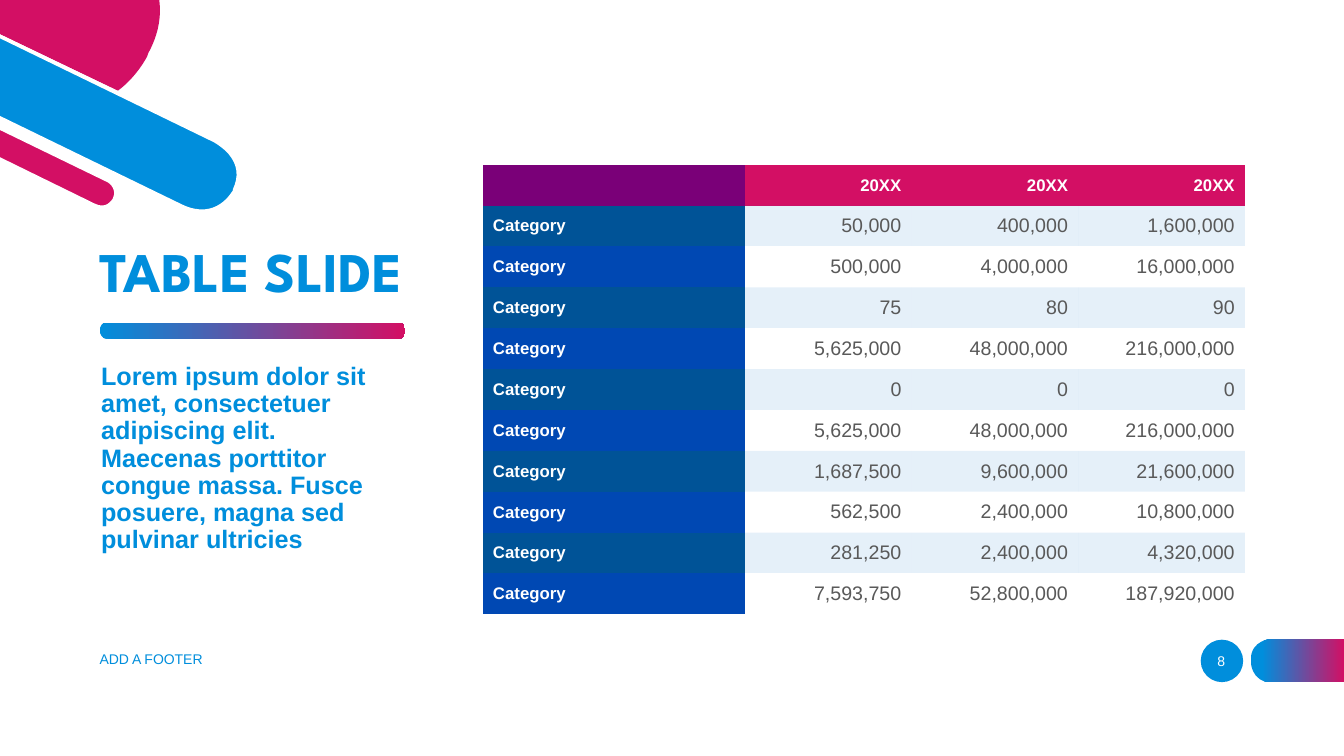
from lxml.etree import SubElement
from pptx import Presentation
from pptx.dml.color import RGBColor
from pptx.enum.shapes import MSO_SHAPE
from pptx.enum.text import MSO_ANCHOR, PP_ALIGN
from pptx.oxml.ns import qn
from pptx.util import Cm, Pt

COLORS = {
    "blue": "008EDC", "pink": "D30F64", "white": "FFFFFF", "purple": "7A0078",
    "teal": "005397", "royal": "0048B3", "band": "006FC9", "gray": "595959",
}
GRID_UNIT = Cm(2.54) // 100

# Outlines in grid units: a pair is a line to a point,
# six numbers are a Bézier curve (two controls and the end point).
PAGE_TAB = [(1262, 677), (1334, 677), (1334, 634), (1262, 634),
            (1262, 634, 1241, 634, 1241, 655), (1241, 656),
            (1241, 656, 1241, 677, 1262, 677)]
TITLE_BAR = [(396, 336), (105, 336), (102, 336, 99, 332, 99, 328),
             (99, 323, 102, 320, 105, 320), (396, 320),
             (399, 320, 402, 323, 402, 328), (402, 332, 400, 336, 396, 336)]
CORNER_OUTLINES = [
    ("white", [(1, 81), (28, 94), (60, 110, 89, 108, 115, 89),
               (134, 74, 144, 55, 144, 55), (146, 52),
               (155, 34, 158, 16, 156, 0), (160, 0),
               (162, 17, 159, 35, 149, 54), (148, 57),
               (147, 58, 137, 77, 117, 92), (106, 101, 90, 109, 69, 109),
               (56, 109, 42, 106, 26, 98), (1, 86)]),
    ("blue", [(212, 139), (212, 139, 249, 157, 233, 189), (232, 190),
              (232, 190, 216, 222, 180, 204), (0, 117), (0, 36)]),
    ("pink", [(146, 56), (146, 56, 136, 76, 117, 90), (0, 34), (0, 0),
              (158, 0), (160, 15, 158, 33, 147, 53)]),
    ("pink", [(0, 126), (106, 178), (106, 178, 120, 185, 114, 197),
              (114, 198), (114, 198, 107, 211, 93, 204), (0, 158)]),
    ("white", [(94, 202), (106, 208, 111, 198, 112, 197),
               (117, 186, 106, 180, 105, 180), (0, 129), (0, 124),
               (107, 176), (107, 176, 115, 180, 117, 187),
               (118, 191, 118, 195, 116, 199), (114, 203, 109, 208, 101, 208),
               (99, 208, 96, 208, 93, 206), (0, 161), (0, 156)]),
    ("white", [(181, 203), (215, 219, 230, 190, 231, 189), (231, 188),
               (237, 175, 236, 164, 227, 153), (221, 146, 212, 141, 212, 141),
               (0, 38), (0, 34), (214, 137), (214, 138, 232, 146, 237, 163),
               (240, 171, 239, 180, 235, 190), (234, 191),
               (234, 191, 223, 212, 201, 212), (194, 212, 187, 210, 179, 206),
               (0, 119), (0, 115)]),
]
TABLE_ROWS = [
    ("", "20XX", "20XX", "20XX"),
    ("Category", "50,000", "400,000", "1,600,000"),
    ("Category", "500,000", "4,000,000", "16,000,000"),
    ("Category", "75", "80", "90"),
    ("Category", "5,625,000", "48,000,000", "216,000,000"),
    ("Category", "0", "0", "0"),
    ("Category", "5,625,000", "48,000,000", "216,000,000"),
    ("Category", "1,687,500", "9,600,000", "21,600,000"),
    ("Category", "562,500", "2,400,000", "10,800,000"),
    ("Category", "281,250", "2,400,000", "4,320,000"),
    ("Category", "7,593,750", "52,800,000", "187,920,000"),
]


def write_text(frame, text, size, color="blue", bold=False, font="Arial",
               align=PP_ALIGN.LEFT, spacing=1.0):
    """Write one formatted run and return it."""
    paragraph = frame.paragraphs[0]
    paragraph.alignment = align
    paragraph.line_spacing = spacing
    run = paragraph.add_run()
    run.text = text
    run.font.name = font
    run.font.size = Pt(size)
    run.font.bold = bold
    run.font.color.rgb = RGBColor.from_string(COLORS[color])
    return run


def add_outline(outline):
    """Draw a closed outline, then bend the segments that have controls."""
    corners = [(x * GRID_UNIT, y * GRID_UNIT)
               for *_, x, y in outline]
    builder = slide.shapes.build_freeform(*corners[0])
    builder.add_line_segments(corners[1:], close=True)
    shape = builder.convert_to_shape()
    lines = list(shape._element.iter(qn("a:lnTo")))
    for line, segment in zip(lines, outline[1:]):
        if len(segment) == 6:
            line.tag = qn("a:cubicBezTo")
            for index in (0, 1):
                x, y = segment[2 * index:2 * index + 2]
                control = SubElement(line, qn("a:pt"))
                control.set("x", str(x * GRID_UNIT - shape.left))
                control.set("y", str(y * GRID_UNIT - shape.top))
                line.insert(index, control)
    return shape


presentation = Presentation()
presentation.slide_width = Cm(33.87)
presentation.slide_height = Cm(19.05)
slide = presentation.slides.add_slide(presentation.slide_layouts[6])

# Decoration
page_circle = slide.shapes.add_shape(
    MSO_SHAPE.OVAL, Cm(30.26), Cm(16.12), Cm(1.07), Cm(1.07))
page_tab = add_outline(PAGE_TAB)
corner_shapes = [(add_outline(outline), color) for color, outline in CORNER_OUTLINES]
title_bar = add_outline(TITLE_BAR)

for shape, color in [(page_circle, "blue")] + corner_shapes:
    shape.fill.solid()
    shape.fill.fore_color.rgb = RGBColor.from_string(COLORS[color])

for shape in slide.shapes:
    shape.line.fill.background()
    shape.shadow.inherit = False

# Title and body
text_boxes = [
    ("TABLE SLIDE", (2.26, 5.92, 9.45, 1.88), MSO_ANCHOR.BOTTOM,
     {"size": 40, "bold": True, "font": "League Spartan", "spacing": 0.9}),
    ("Lorem ipsum dolor sit amet, consectetuer adipiscing elit. Maecenas "
     "porttitor congue massa. Fusce posuere, magna sed pulvinar ultricies",
     (2.3, 9.04, 7.85, 5.13), MSO_ANCHOR.TOP,
     {"size": 18, "bold": True, "spacing": 0.9}),
    ("ADD A FOOTER", (2.26, 16.1, 11.43, 1.02), MSO_ANCHOR.MIDDLE, {"size": 10}),
    ("8", (30.02, 16.15, 1.52, 1.02), MSO_ANCHOR.MIDDLE,
     {"size": 10, "color": "white", "align": PP_ALIGN.CENTER}),
]
runs = []
for text, box, anchor, text_format in text_boxes:
    frame = slide.shapes.add_textbox(*map(Cm, box)).text_frame
    frame.word_wrap = True
    frame.vertical_anchor = anchor
    runs.append(write_text(frame, text, **text_format))

# Blue to pink gradients
title_fill = runs[0].font.fill
for fill, first_position in [(page_tab.fill, 0.12), (title_bar.fill, 0), (title_fill, 0)]:
    fill.gradient()
    fill.gradient_angle = 0
    stops = zip(fill.gradient_stops, ("blue", "pink"), (first_position, 1))
    for stop, color, position in stops:
        stop.color.rgb = RGBColor.from_string(COLORS[color])
        stop.position = position

# Table
table = slide.shapes.add_table(
    len(TABLE_ROWS), 4, Cm(12.17), Cm(4.15), Cm(19.2), Cm(11.33)).table
no_grid_style = "{2D5ABB26-0587-4C30-8999-92F81FD0307C}"
table._tbl.tblPr.find(qn("a:tableStyleId")).text = no_grid_style
for column, width in zip(table.columns, (6.6, 4.2, 4.2, 4.2)):
    column.width = Cm(width)

for row_index, values in enumerate(TABLE_ROWS):
    table.rows[row_index].height = Cm(1.03)
    odd_row = row_index % 2 == 1
    for column_index, value in enumerate(values):
        is_label = column_index == 0
        is_heading = row_index == 0 or is_label
        if row_index == 0:
            color = "purple" if is_label else "pink"
        elif is_label:
            color = "teal" if odd_row else "royal"
        else:
            color = "band" if odd_row else "white"
        cell = table.cell(row_index, column_index)
        cell.fill.solid()
        cell.fill.fore_color.rgb = RGBColor.from_string(COLORS[color])
        if color == "band":
            color_element = next(cell._tc.tcPr.iter(qn("a:srgbClr")))
            SubElement(color_element, qn("a:alpha")).set("val", "10000")
        cell.vertical_anchor = MSO_ANCHOR.MIDDLE
        if value:
            write_text(cell.text_frame, value, 12 if is_heading else 14,
                       color="white" if is_heading else "gray", bold=is_heading,
                       align=PP_ALIGN.LEFT if is_label else PP_ALIGN.RIGHT)

presentation.save("out.pptx")
